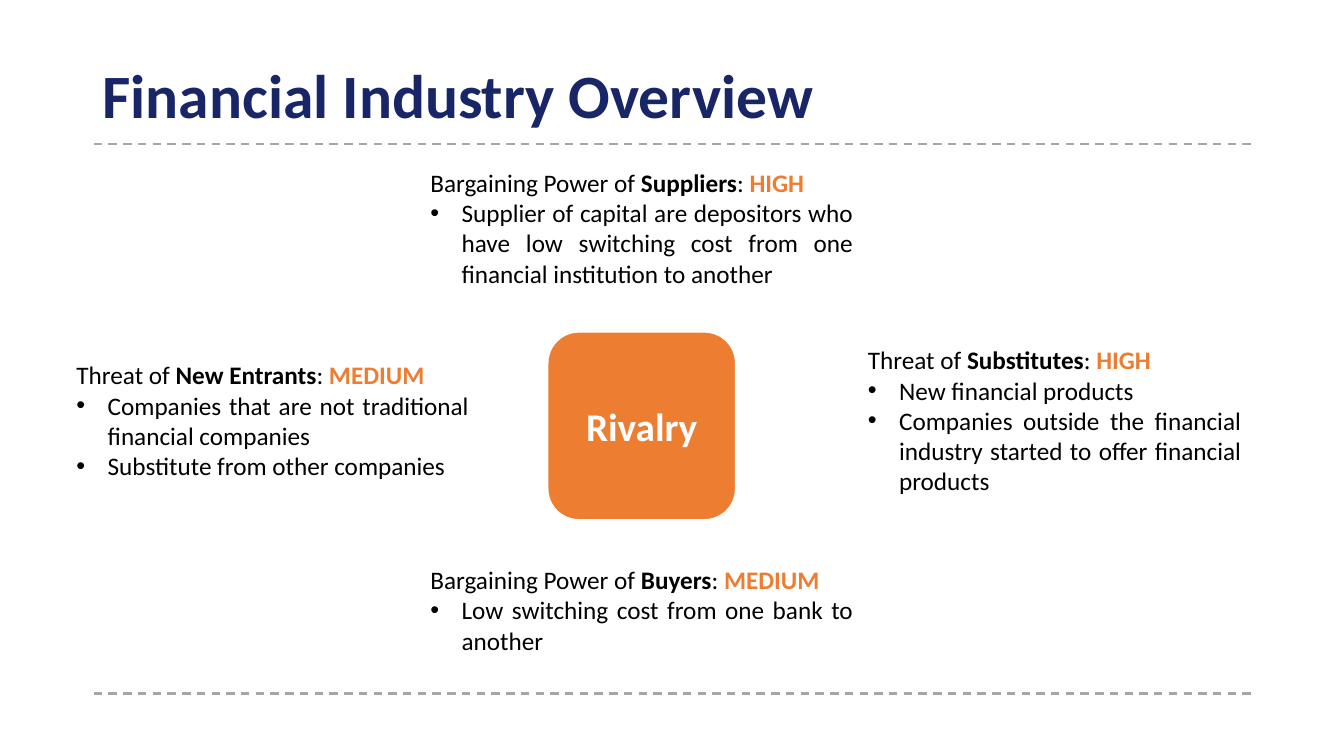
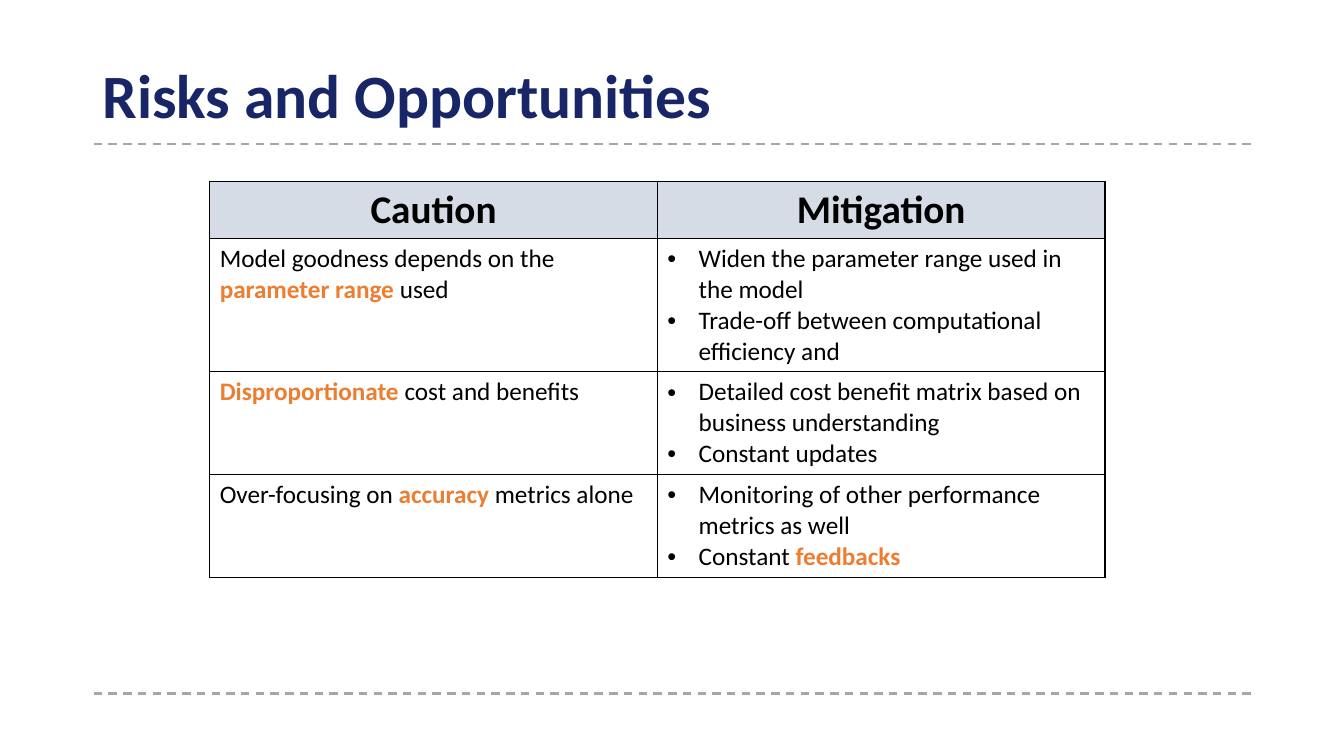
"""Build two slides: five forces in the financial industry, and risks with mitigations."""
from dataclasses import dataclass

from lxml import etree
from pptx import Presentation
from pptx.dml.color import RGBColor
from pptx.enum import dml, shapes, text
from pptx.oxml.ns import qn
from pptx.util import Inches, Pt


@dataclass(frozen=True)
class Theme:
    font: str = "Calibri"
    title: str = "182667"
    ink: str = "000000"
    accent: str = "ED7D31"
    paper: str = "FFFFFF"
    header: str = "D6DCE5"
    rule: str = "A6A6A6"
    title_size: int = 44
    label_size: int = 28
    body_size: int = 18
    rule_width: float = 1.5
    border_width: float = 1
    bullet_indent: float = 0.31


THEME = Theme()
ALIGN = text.PP_ALIGN

RULE_LEFT, RULE_RIGHT = 0.93, 12.43
RULE_TOPS = (1.43, 6.88)
TITLE_AREA = (0.92, 0.52, 11.5, 0.91)

FORCES_TITLE = "Financial Industry Overview"
RIVALRY = "Rivalry"
RIVALRY_AREA = (5.43, 3.29, 1.87, 1.87)
FORCES = [
    ((4.17, 1.61, 4.39, 1.31), None, "Bargaining Power of ", "Suppliers", "HIGH",
     ["Supplier of capital are depositors who have low switching cost from one "
      "financial institution to another"]),
    ((8.51, 3.37, 3.9, 1.62), THEME.paper, "Threat of ", "Substitutes", "HIGH",
     ["New financial products",
      "Companies outside the financial industry started to offer financial products"]),
    ((0.66, 3.52, 4.09, 1.31), None, "Threat of ", "New Entrants", "MEDIUM",
     ["Companies that are not traditional financial companies",
      "Substitute from other companies"]),
    ((4.17, 5.55, 4.39, 1.01), THEME.paper, "Bargaining Power of ", "Buyers", "MEDIUM",
     ["Low switching cost from one bank to another"]),
]

RISKS_TITLE = "Risks and Opportunities"
RISKS_HEADER = ("Caution", "Mitigation")
RISKS = [
    (["Model goodness depends on the ", ("parameter range", "accent"), " used"],
     [["Widen the parameter range used in the model"],
      ["Trade-off between computational efficiency and "]]),
    ([("Disproportionate", "accent"), " cost and benefits"],
     [["Detailed cost benefit matrix based on business understanding"],
      ["Constant updates"]]),
    (["Over-focusing on ", ("accuracy", "accent"), " metrics alone"],
     [["Monitoring of other performance metrics as well"],
      ["Constant ", ("feedbacks", "accent")]]),
]
TABLE_LEFT, TABLE_TOP, COLUMN_WIDTH = 2.08, 1.8, 4.44
ROW_HEIGHTS = (0.57, 1.32, 1.02, 1.02)


def inches(area):
    return [Inches(length) for length in area]


def paint(fill, color):
    fill.solid()
    fill.fore_color.rgb = RGBColor.from_string(color)


def add_bullet(para):
    props = para._p.get_or_add_pPr()
    indent = Inches(THEME.bullet_indent)
    props.set("marL", str(indent))
    props.set("indent", str(-indent))
    etree.SubElement(props, qn("a:buFont")).set("typeface", "Arial")
    etree.SubElement(props, qn("a:buChar")).set("char", "•")


def write(frame, lines, size=THEME.body_size, color=THEME.ink, align=ALIGN.LEFT):
    """Fill a text frame from (runs, bulleted) lines; a run is plain text or (text, style)."""
    frame.word_wrap = True
    for index, (runs, bulleted) in enumerate(lines):
        para = frame.paragraphs[0] if index == 0 else frame.add_paragraph()
        para.alignment = align
        if bulleted:
            add_bullet(para)
        for item in runs:
            words, style = (item, "plain") if isinstance(item, str) else item
            span = para.add_run()
            span.text = words
            span.font.name = THEME.font
            span.font.size = Pt(size)
            span.font.bold = style != "plain"
            span.font.color.rgb = RGBColor.from_string(
                THEME.accent if style == "accent" else color)


def add_page(deck, title):
    page = deck.slides.add_slide(deck.slide_layouts[6])
    for top in RULE_TOPS:
        rule = page.shapes.add_connector(
            shapes.MSO_CONNECTOR.STRAIGHT,
            *inches((RULE_LEFT, top, RULE_RIGHT, top)))
        rule.line.color.rgb = RGBColor.from_string(THEME.rule)
        rule.line.width = Pt(THEME.rule_width)
        rule.line.dash_style = dml.MSO_LINE.DASH
        etree.SubElement(rule._element.spPr, qn("a:effectLst"))
    box = page.shapes.add_textbox(*inches(TITLE_AREA))
    write(box.text_frame, [([(title, "bold")], False)], THEME.title_size, THEME.title)
    box.text_frame.vertical_anchor = text.MSO_ANCHOR.MIDDLE
    box.text_frame.paragraphs[0].line_spacing = 0.9
    return page


def add_forces(page):
    center = page.shapes.add_shape(
        shapes.MSO_SHAPE.ROUNDED_RECTANGLE, *inches(RIVALRY_AREA))
    center.shadow.inherit = False
    paint(center.fill, THEME.accent)
    paint(center.line.fill, THEME.paper)
    center.line.width = Pt(THEME.rule_width)
    center.text_frame.vertical_anchor = text.MSO_ANCHOR.MIDDLE
    write(center.text_frame, [([(RIVALRY, "bold")], False)],
          THEME.label_size, THEME.paper, ALIGN.CENTER)
    for area, fill, lead, force, level, points in FORCES:
        box = page.shapes.add_textbox(*inches(area))
        if fill:
            paint(box.fill, fill)
        heading = [lead, (force, "bold"), ": ", (level, "accent")]
        lines = [(heading, False)] + [([point], True) for point in points]
        write(box.text_frame, lines, align=ALIGN.JUSTIFY)


def add_borders(cell):
    props = cell._tc.get_or_add_tcPr()
    for side in ("a:lnL", "a:lnR", "a:lnT", "a:lnB"):
        line = etree.SubElement(props, qn(side), w=str(Pt(THEME.border_width)))
        fill = etree.SubElement(line, qn("a:solidFill"))
        etree.SubElement(fill, qn("a:srgbClr")).set("val", THEME.ink)


def add_risks(page):
    columns = len(RISKS_HEADER)
    area = (TABLE_LEFT, TABLE_TOP, COLUMN_WIDTH * columns, sum(ROW_HEIGHTS))
    table = page.shapes.add_table(len(ROW_HEIGHTS), columns, *inches(area)).table
    table.horz_banding = False
    for column in table.columns:
        column.width = Inches(COLUMN_WIDTH)
    for row, height in zip(table.rows, ROW_HEIGHTS):
        row.height = Inches(height)
    for cell in table.iter_cells():
        add_borders(cell)
        paint(cell.fill, THEME.paper)
    for index, label in enumerate(RISKS_HEADER):
        cell = table.cell(0, index)
        paint(cell.fill, THEME.header)
        write(cell.text_frame, [([(label, "bold")], False)],
              THEME.label_size, align=ALIGN.CENTER)
    for index, (caution, mitigation) in enumerate(RISKS, start=1):
        write(table.cell(index, 0).text_frame, [(caution, False)])
        write(table.cell(index, 1).text_frame, [(runs, True) for runs in mitigation])


deck = Presentation()
deck.slide_width, deck.slide_height = inches((13.33, 7.5))
add_forces(add_page(deck, FORCES_TITLE))
add_risks(add_page(deck, RISKS_TITLE))
deck.save("out.pptx")
